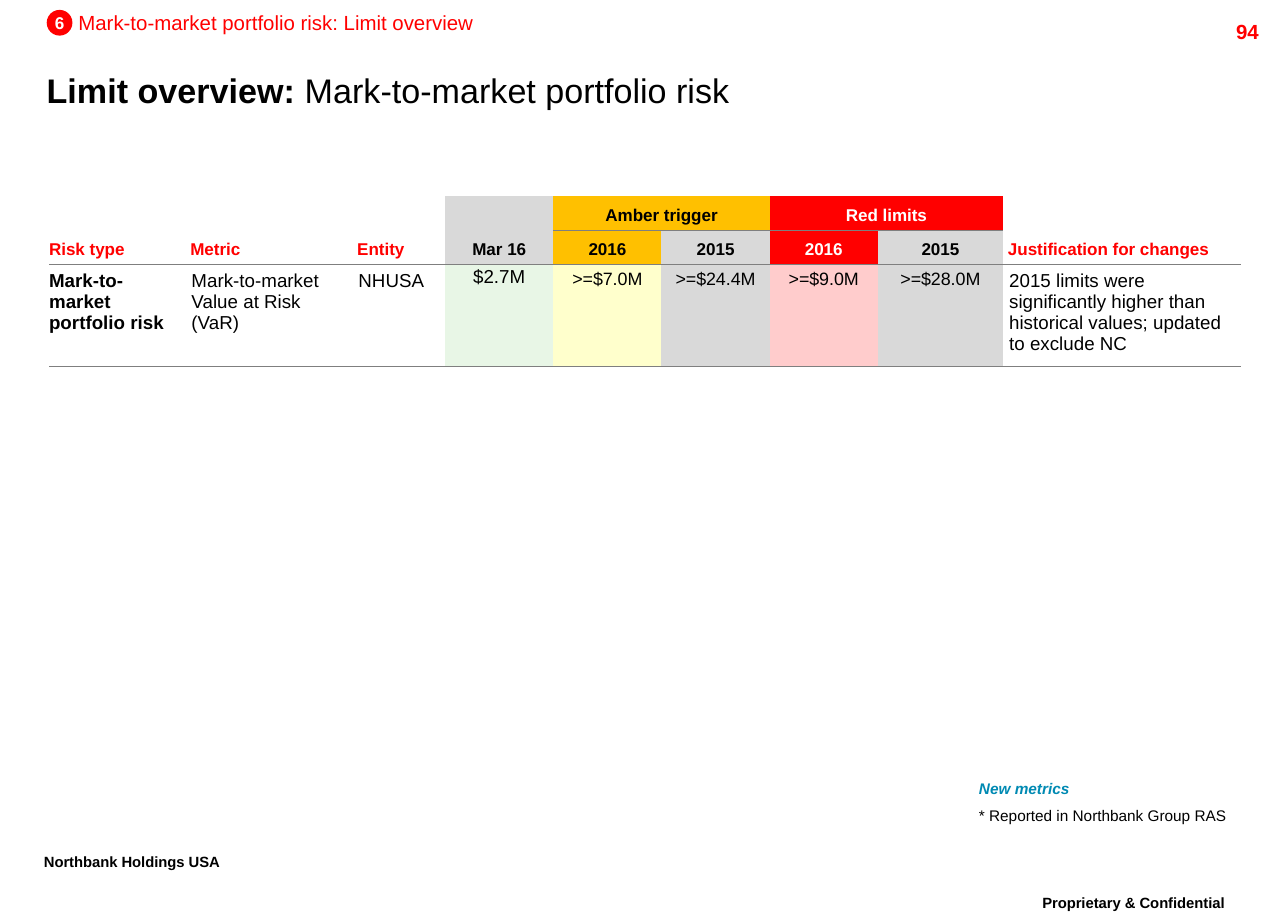
from lxml.etree import fromstring
from pptx import Presentation
from pptx.dml.color import RGBColor
from pptx.enum.shapes import MSO_SHAPE as Shape
from pptx.enum.text import MSO_ANCHOR as Anchor, PP_ALIGN as Align
from pptx.oxml.ns import qn
from pptx.util import Pt

BLACK, WHITE, RED, GREY, AMBER = "000000", "FFFFFF", "FF0000", "D9D9D9", "FFC000"
LEFT, CENTER, RIGHT = Align.LEFT, Align.CENTER, Align.RIGHT


def color(value):
    return RGBColor.from_string(value)


def write(frame, text, size=10, fill=BLACK, bold=False, italic=False, align=LEFT,
          spacing=1.0, raised=False):
    para = frame.paragraphs[0]
    para.alignment, para.line_spacing = align, spacing
    span = para.add_run()
    span.text = text
    font = span.font
    font.name, font.size, font.bold, font.italic = "Arial", Pt(size), bold, italic
    font.color.rgb = color(fill)
    if raised:
        font._element.set("baseline", "30000")


deck = Presentation()
deck.slide_width, deck.slide_height = Pt(756), Pt(540)
page = deck.slides.add_slide(deck.slide_layouts[6])

footer = dict(size=15, bold=True, spacing=0.86, raised=True)
note = dict(size=9, spacing=0.86)
labels = [
    (586.8, 522, 157, 25, 7.2, [("Proprietary & Confidential", dict(footer, align=CENTER))]),
    (18.7, 497.5, 152, 25, 7.2, [("Northbank Holdings USA", footer)]),
    (674, 7.9, 72, 17.3, 7.2, [("94", dict(size=12, fill=RED, bold=True, align=RIGHT))]),
    (27.4, 35.3, 682.6, 34.6, 0, [
        ("Limit overview: ", dict(size=20, bold=True)),
        ("Mark-to-market portfolio risk", dict(size=20))]),
    (46, 5.8, 250, 14.4, 0, [
        ("Mark-to-market portfolio risk: Limit overview", dict(size=12, fill=RED))]),
    (574.6, 474.5, 155, 9.4, 0, [("* Reported in Northbank Group RAS", note)]),
    (574.6, 458.6, 60, 9.4, 0, [
        ("New metrics", dict(note, fill="008AB3", bold=True, italic=True))]),
]
for left, top, width, height, inset, spans in labels:
    box = page.shapes.add_textbox(Pt(left), Pt(top), Pt(width), Pt(height))
    frame = box.text_frame
    frame.word_wrap = True
    frame.margin_left = frame.margin_right = Pt(inset)
    frame.margin_top = frame.margin_bottom = Pt(inset / 2)
    if len(spans) > 1:
        frame.vertical_anchor = Anchor.MIDDLE
    for text, style in spans:
        write(frame, text, **style)

badge = page.shapes.add_shape(Shape.OVAL, Pt(27.4), Pt(5.8), Pt(15.1), Pt(15.1))
badge.shadow.inherit = False
badge.fill.solid()
badge.fill.fore_color.rgb = color(RED)
badge.line.fill.background()
badge.text_frame.word_wrap = False
badge.text_frame.vertical_anchor = Anchor.MIDDLE
write(badge.text_frame, "6", fill=WHITE, bold=True, align=CENTER)

widths = [80, 98, 54.5, 63.5, 63.5, 63.5, 63.5, 73.5, 139.5]
heights = [20, 20, 60]
holder = page.shapes.add_table(3, 9, Pt(28.8), Pt(115.2), Pt(sum(widths)), Pt(sum(heights)))
table = holder.table
table.first_row = table.horz_banding = False
style_id = holder._element.find(".//" + qn("a:tableStyleId"))
style_id.text = "{2D5ABB26-0587-4C30-8999-92F81FD0307C}"
for column, width in zip(table.columns, widths):
    column.width = Pt(width)
for row, height in zip(table.rows, heights):
    row.height = Pt(height)
for column in (0, 1, 2, 3, 8):
    table.cell(0, column).merge(table.cell(1, column))
for column in (4, 6):
    table.cell(0, column).merge(table.cell(0, column + 1))

border = (
    '<a:lnB xmlns:a="http://schemas.openxmlformats.org/drawingml/2006/main" w="9525">'
    '<a:solidFill><a:srgbClr val="7F7F7F"/></a:solidFill></a:lnB>'
)
for cell in table.iter_cells():
    cell._tc.get_or_add_tcPr().insert(0, fromstring(border))

head = dict(bold=True, align=CENTER)
head_left = dict(bold=True, fill=RED)
head_white = dict(head, fill=WHITE)
body = dict(size=11)
limit = dict(size=10.5, align=CENTER)
cells = [
    (0, 0, "Risk type", None, head_left),
    (0, 1, "Metric", None, head_left),
    (0, 2, "Entity", None, head_left),
    (0, 3, "Mar 16", GREY, head),
    (0, 4, "Amber trigger", AMBER, head),
    (0, 6, "Red limits", RED, head_white),
    (0, 8, "Justification for changes", WHITE, head_left),
    (1, 4, "2016", AMBER, head),
    (1, 5, "2015", GREY, head),
    (1, 6, "2016", RED, head_white),
    (1, 7, "2015", GREY, head),
    (2, 0, "Mark-to-market portfolio risk", None, dict(body, bold=True)),
    (2, 1, "Mark-to-market Value at Risk (VaR)", None, body),
    (2, 2, "NHUSA", None, body),
    (2, 3, "$2.7M", "E8F6E6", dict(body, align=CENTER, spacing=Pt(10))),
    (2, 4, ">=$7.0M", "FFFFCC", limit),
    (2, 5, ">=$24.4M", GREY, limit),
    (2, 6, ">=$9.0M", "FFCCCC", limit),
    (2, 7, ">=$28.0M", GREY, limit),
    (2, 8, "2015 limits were significantly higher than historical values; updated to exclude NC",
     WHITE, body),
]
for row, column, text, fill, style in cells:
    cell = table.cell(row, column)
    inset = Pt(3.6 if style.get("size") == 11 else 2.9)
    cell.margin_left = inset if column else 0
    cell.margin_right = cell.margin_top = cell.margin_bottom = inset
    cell.vertical_anchor = Anchor.TOP if row == 2 else Anchor.BOTTOM
    if fill:
        cell.fill.solid()
        cell.fill.fore_color.rgb = color(fill)
    else:
        cell.fill.background()
    write(cell.text_frame, text, **style)

deck.save("out.pptx")
